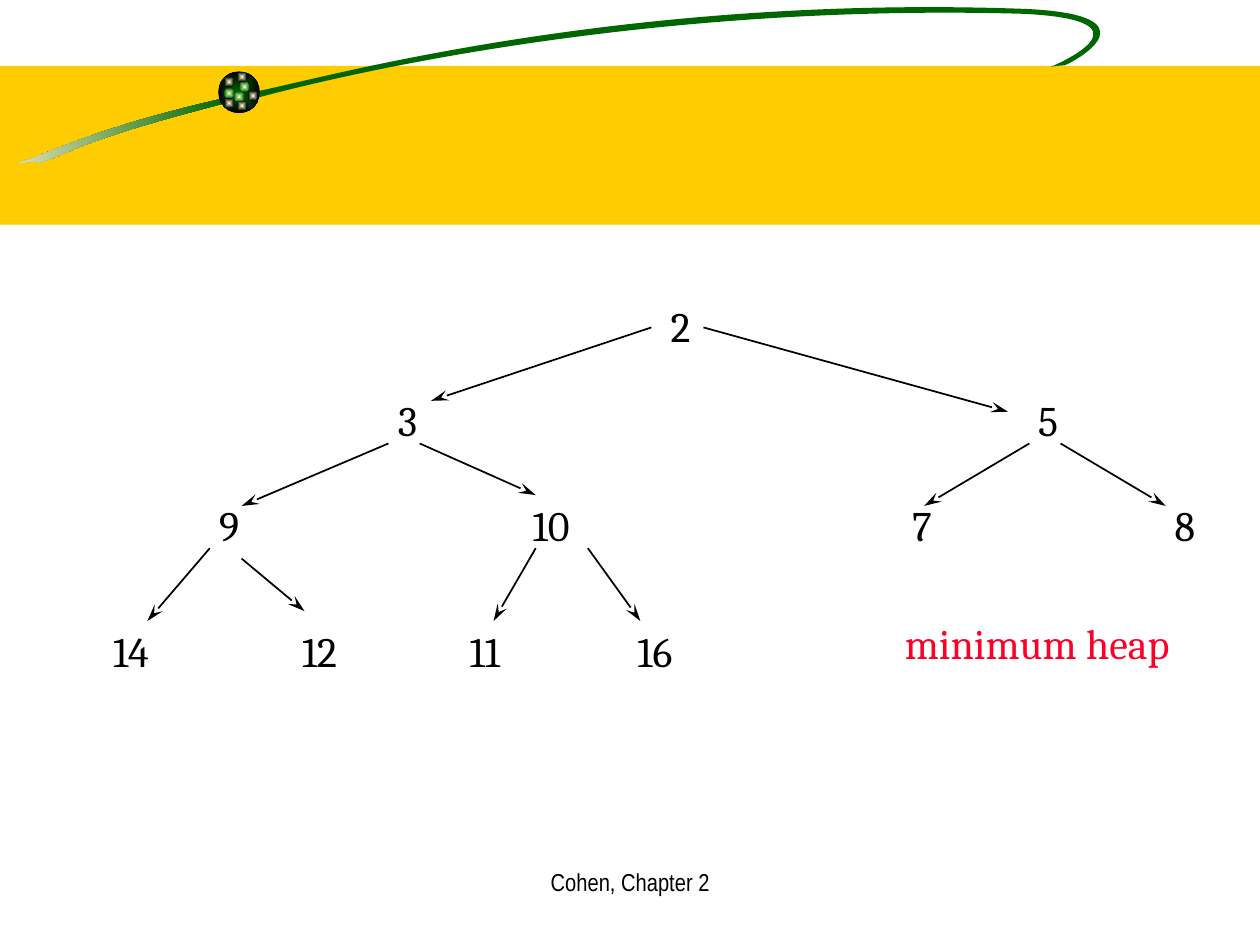
import math

from lxml import etree
from pptx import Presentation
from pptx import util as u
from pptx.dml.color import RGBColor
from pptx.enum import shapes, text
from pptx.oxml import ns

GOLD = RGBColor(0xFF, 0xCC, 0x00)
GREEN = RGBColor(0x00, 0x66, 0x00)
SAND = RGBColor(0xF5, 0xEB, 0xC1)
CREAM = RGBColor(0xFF, 0xFF, 0xCC)
WHITE = RGBColor(0xFF, 0xFF, 0xFF)
BLACK = RGBColor(0x00, 0x00, 0x00)
RED = RGBColor(0xFC, 0x01, 0x28)

# All positions below are in centimetres.
# Each outline is a start point followed by cubic curves of three points.
SWOOSH_TILT = -8.5
TAIL_BOX = (-0.08, 2.31, 4.67, 0.76)
SWOOSH_TAIL = [(4.52, 1.98),
               (2.31, 2.49), (1.24, 2.95), (0.64, 3.2),
               (0.03, 3.4), (0.66, 3.2), (0.79, 3.28),
               (1.45, 3.1), (1.45, 2.87), (4.55, 2.08),
               (4.55, 2.08), (4.52, 1.98), (4.52, 1.98)]
LOOP_BOX = (5.11, -0.38, 18.19, 2.77)
SWOOSH_LOOP = [(5.13, 1.85),
               (6.25, 1.65), (12.34, -0.13), (20.68, 0.18),
               (23.29, 0.3), (21.77, 1.19), (21.46, 1.32),
               (21.46, 1.32), (21.29, 1.32), (21.18, 1.35),
               (21.44, 1.24), (23.27, 0.41), (20.65, 0.28),
               (13.92, 0.08), (8.13, 1.19), (5.23, 1.96),
               (5.23, 1.96), (5.13, 1.85), (5.13, 1.85)]
DOTS = [(4.83, 1.65, GREEN), (4.52, 1.55, BLACK), (4.52, 1.78, GREEN),
        (4.72, 1.85, GREEN), (5, 1.83, BLACK), (4.78, 2.03, BLACK),
        (4.52, 1.98, BLACK), (4.78, 1.45, BLACK)]
DOT_SIZE = 0.2

# Top of each heap level, with the left edge and value of its nodes
LEVELS = [
    (5.93, [(13.27, "2")]),
    (7.82, [(7.77, "3"), (20.68, "5")]),
    (9.95, [(4.17, "9"), (10.49, "10"), (18.14, "7"), (23.43, "8")]),
    (12.49, [(2.03, "14"), (5.84, "12"), (9.22, "11"), (12.6, "16")]),
]
NODE_WIDTH = {1: 0.99, 2: 1.47}
NODE_HEIGHT = 1.27
ARROWS = [
    (13.13, 6.6, 8.69, 8.08), (14.18, 6.6, 20.32, 8.3),
    (7.83, 8.94, 4.87, 10.2), (8.46, 8.94, 10.8, 9.98),
    (20.75, 8.94, 18.63, 10.2), (21.38, 8.94, 23.5, 10.2),
    (4.23, 11.05, 2.97, 12.52), (4.87, 11.26, 6.14, 12.32),
    (10.8, 11.05, 9.95, 12.52), (11.85, 11.05, 12.91, 12.52),
]


def write(tf, content, size=24, font="Cambria", color=BLACK,
          align=text.PP_ALIGN.LEFT):
    p = tf.paragraphs[0]
    p.alignment = align
    r = p.add_run()
    r.text = content
    r.font.size = u.Pt(size)
    r.font.name = font
    r.font.color.rgb = color


class Deck:
    def __init__(self, slide):
        self.slide = slide
        self.shapes = slide.shapes

    def paint(self, sp, *colors, radial=False):
        """Fill with one colour, or with a gradient of two."""
        sp.shadow.inherit = False
        sp.line.fill.background()
        if len(colors) == 1:
            sp.fill.solid()
            sp.fill.fore_color.rgb = colors[0]
            return
        sp.fill.gradient()
        sp.fill.gradient_angle = 180
        for stop, color in zip(sp.fill.gradient_stops, colors):
            stop.color.rgb = color
        if radial:
            grad = sp._element.spPr.find(ns.qn("a:gradFill"))
            path = etree.Element(ns.qn("a:path"), path="rect")
            etree.SubElement(path, ns.qn("a:fillToRect"),
                             l="50000", t="50000", r="50000", b="50000")
            grad.replace(grad.find(ns.qn("a:lin")), path)

    def shape(self, kind, x, y, w, h, *colors):
        sp = self.shapes.add_shape(kind, u.Cm(x), u.Cm(y), u.Cm(w), u.Cm(h))
        self.paint(sp, *colors, radial=True)
        return sp

    def panel(self, x, y, w, h, color, alpha):
        sp = self.shape(shapes.MSO_SHAPE.RECTANGLE, x, y, w, h, color)
        clr = sp._element.spPr.find(ns.qn("a:solidFill"))[0]
        etree.SubElement(clr, ns.qn("a:alpha"), val=str(alpha * 1000))

    def swoosh(self, box, curve, *colors):
        """Draw a closed curve, given as seen on the slide, in a tilted box."""
        x, y, w, h = box
        cx, cy = x + w / 2, y + h / 2
        cos, sin = (f(math.radians(-SWOOSH_TILT)) for f in (math.cos, math.sin))
        points = [(u.Cm(w / 2 + (px - cx) * cos - (py - cy) * sin),
                   u.Cm(h / 2 + (px - cx) * sin + (py - cy) * cos))
                  for px, py in curve]
        builder = self.shapes.build_freeform(*points[0])
        builder.add_line_segments(points[1:])
        sp = builder.convert_to_shape()
        sp.left, sp.top, sp.width, sp.height = map(u.Cm, box)
        sp.rotation = SWOOSH_TILT

        path = next(sp._element.iter(ns.qn("a:path")))
        path.set("w", str(sp.width))
        path.set("h", str(sp.height))
        for child in list(path):
            path.remove(child)
        groups = [("a:moveTo", points[:1])]
        groups += [("a:cubicBezTo", points[i:i + 3]) for i in range(1, len(points), 3)]
        for tag, group in groups:
            step = etree.SubElement(path, ns.qn(tag))
            for px, py in group:
                etree.SubElement(step, ns.qn("a:pt"), x=str(int(px)), y=str(int(py)))
        etree.SubElement(path, ns.qn("a:close"))
        self.paint(sp, *colors)

    def label(self, content, x, y, w, h, wrap=True, **style):
        tf = self.shapes.add_textbox(u.Cm(x), u.Cm(y), u.Cm(w), u.Cm(h)).text_frame
        tf.word_wrap = wrap
        write(tf, content, **style)

    def arrow(self, x1, y1, x2, y2):
        c = self.shapes.add_connector(shapes.MSO_CONNECTOR.STRAIGHT,
                                      u.Cm(x1), u.Cm(y1), u.Cm(x2), u.Cm(y2))
        c.line.color.rgb = BLACK
        c.line.width = u.Pt(1)
        etree.SubElement(c.line._get_or_add_ln(), ns.qn("a:tailEnd"),
                         type="stealth", w="med", len="lg")
        etree.SubElement(c._element.spPr, ns.qn("a:effectLst"))


def main():
    prs = Presentation()
    prs.slide_width, prs.slide_height = u.Cm(25.4), u.Cm(19.05)
    deck = Deck(prs.slides.add_slide(prs.slide_layouts[6]))
    oval = shapes.MSO_SHAPE.OVAL

    deck.shape(shapes.MSO_SHAPE.RECTANGLE, 0, 1.33, 25.4, 3.2, GOLD)
    deck.swoosh(TAIL_BOX, SWOOSH_TAIL, GREEN, SAND)
    deck.swoosh(LOOP_BOX, SWOOSH_LOOP, GREEN)
    deck.shape(oval, 4.4, 1.44, 0.84, 0.84, GREEN, BLACK)
    for x, y, edge in DOTS:
        deck.shape(oval, x, y, DOT_SIZE, DOT_SIZE, CREAM, edge)
    deck.panel(1.88, 5.23, 3.1, 13.82, WHITE, alpha=50)

    for top, nodes in LEVELS:
        for left, value in nodes:
            deck.label(value, left, top, NODE_WIDTH[len(value)], NODE_HEIGHT, wrap=False)
    for ends in ARROWS:
        deck.arrow(*ends)

    deck.label("minimum heap", 17.99, 12.32, 6.35, 2.29, color=RED)
    deck.label("Cohen, Chapter 2", 8.68, 17.35, 8.05, 1.27, size=14,
               font="Arial Narrow", align=text.PP_ALIGN.CENTER)
    prs.save("out.pptx")


if __name__ == "__main__":
    main()
